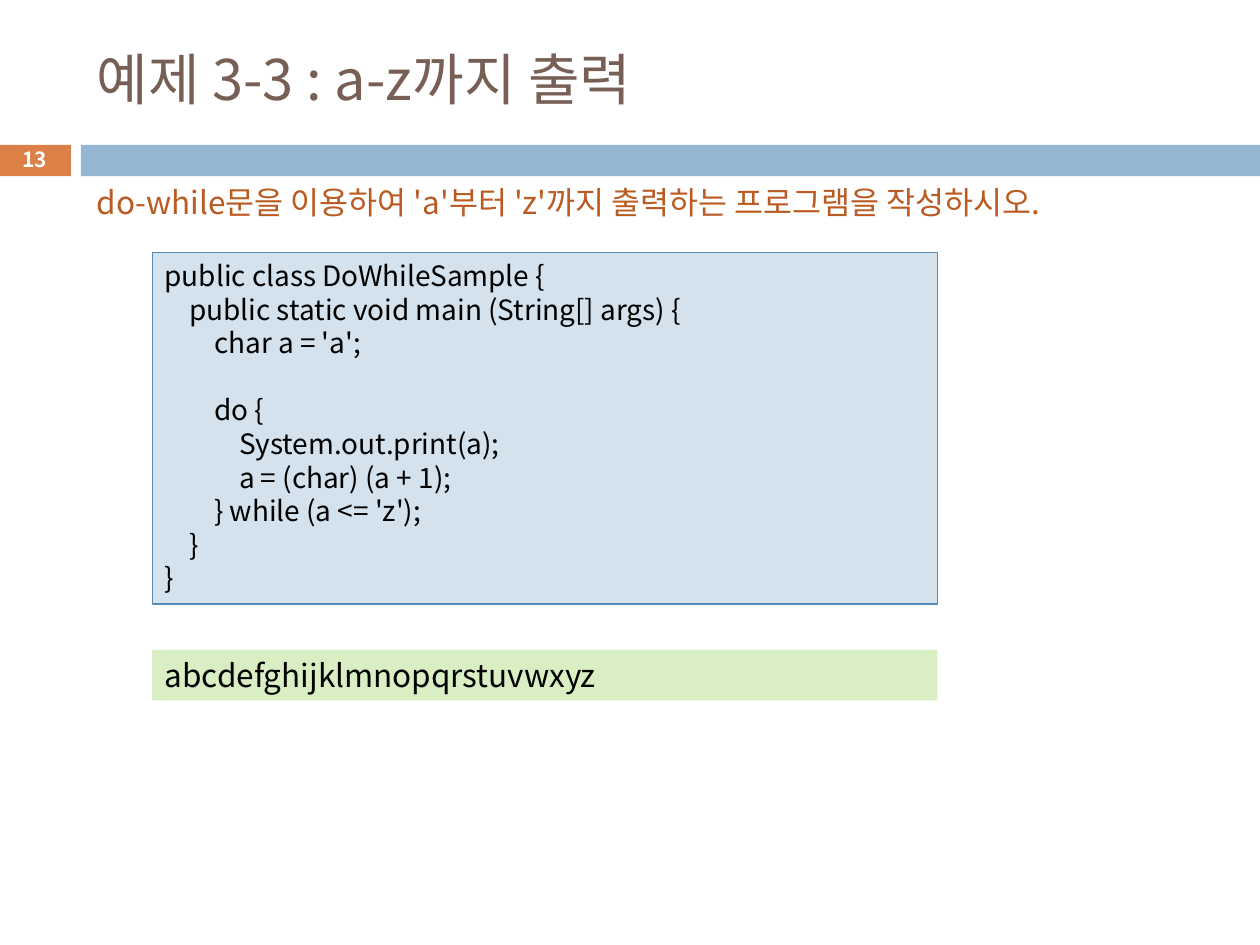
from lxml.etree import SubElement as Sub
from pptx import Presentation as Deck
from pptx.dml.color import RGBColor as RGB
from pptx.enum.shapes import MSO_SHAPE as Kind
from pptx.enum.text import MSO_ANCHOR as Anchor, PP_ALIGN as Align
from pptx.oxml.ns import qn
from pptx.util import Cm, Pt

FACE = "Noto Sans CJK KR"
ORANGE = RGB(0xDD, 0x80, 0x47)
BLUE = RGB(0x94, 0xB6, 0xD2)
BROWN = RGB(0x77, 0x5F, 0x55)
RUST = RGB(0xB9, 0x5B, 0x22)
PALE = RGB(0xD4, 0xE2, 0xED)
EDGE = RGB(0x55, 0x8B, 0xB8)
GREEN = RGB(0xDA, 0xEE, 0xC4)
BLACK = RGB(0, 0, 0)
WHITE = RGB(0xFF, 0xFF, 0xFF)

STEP = 0.5   # code indent, cm
PITCH = 1.2  # line height over font size

# Depth and text of each line; None is a gap
CODE = [
    (0, "public class DoWhileSample {"),
    (1, "public static void main (String[] args) {"),
    (2, "char a = 'a';"),
    None,
    (2, "do {"),
    (3, "System.out.print(a);"),
    (3, "a = (char) (a + 1);"),
    (2, "} while (a <= 'z');"),
    (1, "}"),
    (0, "}"),
]


def add_rect(slide, box, fill, edge=None):
    rect = slide.shapes.add_shape(Kind.RECTANGLE, *map(Cm, box))
    rect.shadow.inherit = False
    rect.fill.solid()
    rect.fill.fore_color.rgb = fill
    if edge is None:
        rect.line.fill.background()
    else:
        rect.line.color.rgb = edge
        rect.line.width = Pt(0.75)
    return rect


def add_label(slide, box):
    return slide.shapes.add_textbox(*map(Cm, box))


def write(shape, lines, size, color, anchor=Anchor.TOP, align=Align.LEFT,
          bold=False):
    frame = shape.text_frame
    frame.word_wrap = True
    frame.vertical_anchor = anchor
    para, gap = frame.paragraphs[0], 0
    for line in lines:
        if line is None:
            gap += size * PITCH
            continue
        depth, text = line
        if para.text:
            para = frame.add_paragraph()
        para.text = text
        para.alignment = align
        para.line_spacing = Pt(size * PITCH)
        para.space_before = Pt(gap)
        gap = 0
        font = para.font
        font.name, font.size, font.bold = FACE, Pt(size), bold
        font.color.rgb = color
        props = para._p.get_or_add_pPr()
        props.set("marL", str(Cm(depth * STEP)))
        # Korean letters take the same face
        Sub(props.find(qn("a:defRPr")), qn("a:ea"), typeface=FACE)


def add_head(slide, left, top, width, height):
    # Title above, band with the page number below
    band, tab, gap = 0.63, 1.45, 0.2
    low = top + height - band
    add_rect(slide, (left, low, tab, band), ORANGE)
    start = left + tab + gap
    add_rect(slide, (start, low, width - tab - gap, band), BLUE)
    title = add_label(slide, (left + 1.72, top + 0.63, 22.66, 1.88))
    write(title, [(0, "예제 3-3 : a-z까지 출력")], 32, BROWN, Anchor.MIDDLE)
    page = add_label(slide, (left, low - 0.04, tab, band + 0.04))
    write(page, [(0, "13")], 11.9, WHITE, Anchor.MIDDLE, Align.CENTER, True)


def add_task(slide, *box):
    text = "do-while문을 이용하여 'a'부터 'z'까지 출력하는 프로그램을 작성하시오."
    write(add_label(slide, box), [(0, text)], 18, RUST)


def add_code(slide, left, top, width, height):
    # Program above, its output below
    out = 1.02
    code = add_rect(slide, (left, top, width, 7.09), PALE, EDGE)
    write(code, CODE, 16, BLACK)
    print_box = add_rect(slide, (left, top + height - out, width, out), GREEN)
    write(print_box, [(0, "abcdefghijklmnopqrstuvwxyz")], 18, BLACK)


def main():
    deck = Deck()
    deck.slide_width, deck.slide_height = Cm(25.4), Cm(19.05)
    slide = deck.slides.add_slide(deck.slide_layouts[6])
    add_head(slide, -0.02, 0, 25.42, 3.55)
    add_task(slide, 1.7, 3.56, 21.72, 1.02)
    add_code(slide, 3.07, 5.09, 15.83, 9.03)
    deck.save("out.pptx")


if __name__ == "__main__":
    main()
